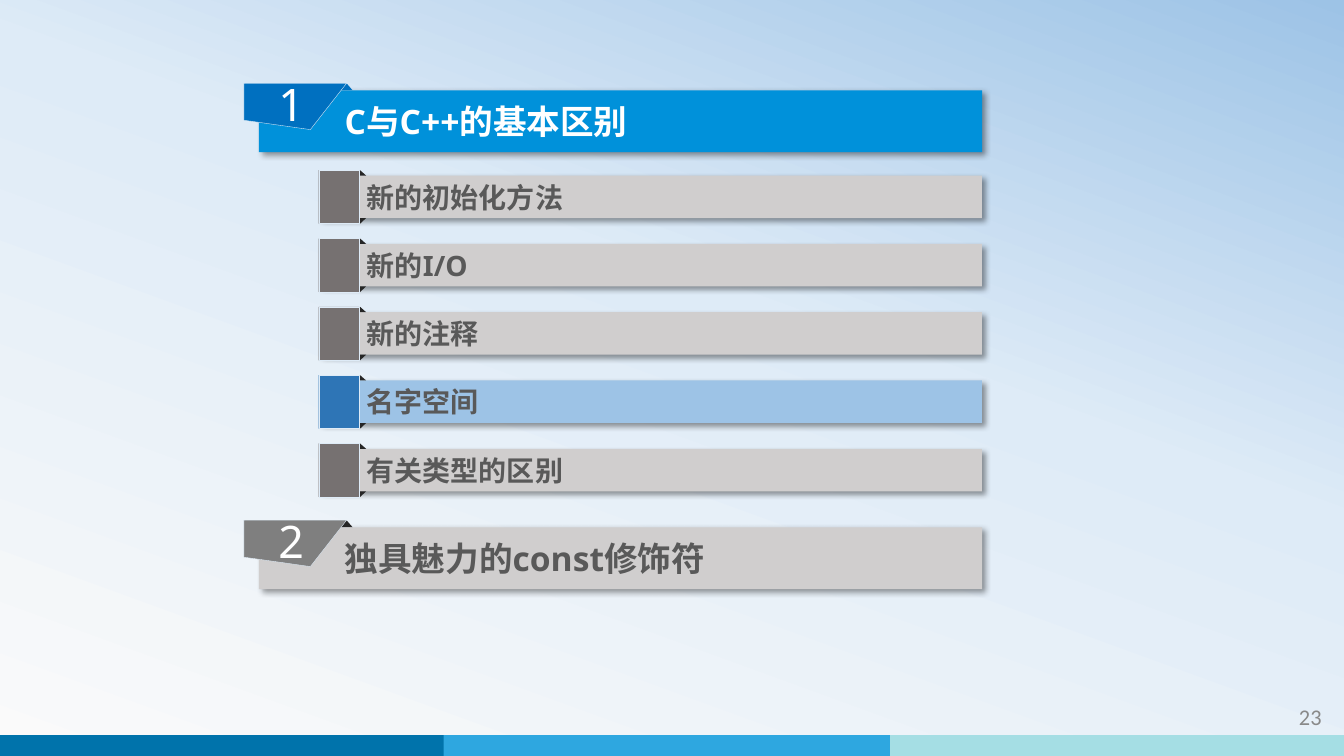
import pptx
import pptx.util
import pptx.dml.color
import pptx.enum.shapes
import pptx.enum.text
import pptx.oxml
import pptx.oxml.ns

Pt = pptx.util.Pt
KIND = pptx.enum.shapes.MSO_SHAPE
ALIGN = pptx.enum.text.PP_ALIGN
MID = pptx.enum.text.MSO_ANCHOR.MIDDLE
NS = pptx.oxml.ns.nsdecls("a")

HUES = {
    "sky": "9DC3E6", "pale": "DEEBF7", "snow": "FAFAFA", "white": "FFFFFF",
    "azure": "0091DA", "blue": "0070C0", "steel": "2E75B6",
    "silver": "D0CECE", "stone": "767171", "gray": "7F7F7F",
    "ink": "595959", "black": "262626", "page": "898989",
    "deep": "0073AB", "mid": "2EA7E0", "light": "A5DEE4",
}
ROWS = ["新的初始化方法", "新的I/O", "新的注释", "名字空间", "有关类型的区别"]
ACTIVE = "名字空间"
RIGHT = 701.5


def hue(name):
    return pptx.dml.color.RGBColor.from_string(HUES[name])


def write(shape, text, size=20, color="ink", bold=False, align=ALIGN.LEFT,
          font="Noto Sans", inset=(7.2, 3.6, 7.2, 3.6)):
    frame = shape.text_frame
    frame.word_wrap = True
    frame.vertical_anchor = MID
    (frame.margin_left, frame.margin_top,
     frame.margin_right, frame.margin_bottom) = map(Pt, inset)
    para = frame.paragraphs[0]
    para.alignment = align
    run = para.add_run()
    run.text = text
    run.font.size = Pt(size)
    run.font.bold = bold
    run.font.name = font
    run.font.color.rgb = hue(color)
    east = pptx.oxml.parse_xml(f'<a:ea {NS} typeface="Noto Sans CJK SC"/>')
    run.font._element.find(pptx.oxml.ns.qn("a:latin")).addnext(east)


def paint(shape, fill, line=None):
    shape.shadow.inherit = False
    shape.fill.solid()
    shape.fill.fore_color.rgb = hue(fill)
    if line:
        shape.line.color.rgb = hue(line)
        shape.line.width = Pt(0.25)
    else:
        shape.line.fill.background()


def block(slide, box, fill, line=None, kind=KIND.RECTANGLE):
    shape = slide.shapes.add_shape(kind, *map(Pt, box))
    paint(shape, fill, line)
    return shape


def bar(slide, box, fill):
    shape = block(slide, box, fill)
    list_ = shape._element.spPr.find(pptx.oxml.ns.qn("a:effectLst"))
    list_.append(pptx.oxml.parse_xml(
        f'<a:outerShdw {NS} blurRad="{Pt(4)}" dist="{Pt(3)}" dir="2700000" '
        'algn="tl" rotWithShape="0"><a:srgbClr val="000000">'
        '<a:alpha val="40000"/></a:srgbClr></a:outerShdw>'))
    return shape


def fold(slide, box, fill="black", flip=False):
    shape = block(slide, box, fill, kind=KIND.ISOSCELES_TRIANGLE)
    if flip:
        shape._element.spPr.xfrm.set("flipV", "1")


def topic(slide, top, text):
    live = text == ACTIVE
    strip = bar(slide, (228.5, top, RIGHT - 228.5, 30.4),
                "sky" if live else "silver")
    write(strip, text, bold=True, inset=(33.5, 3.6, 7.2, 3.6))
    fold(slide, (252.9, top - 3.8, 8.6, 3.8))
    fold(slide, (252.9, top + 30.4, 8.6, 4), flip=True)
    block(slide, (227.7, top - 3.8, 28.8, 38.2),
          "steel" if live else "stone", "pale")


def chapter(slide, top, number, text, fill, tag, corner, color):
    strip = bar(slide, (185, top, RIGHT - 185, 44.2), fill)
    write(strip, text, size=24, color=color, bold=True,
          inset=(61.2, 3.6, 7.2, 3.6))
    fold(slide, (243.2, top - 5, 8.6, 5), corner)
    left, peak = 174.2, top - 5
    path = [(left + 73.4, peak), (left + 47.5, peak + 33.1),
            (left, peak + 26.4)]
    pen = slide.shapes.build_freeform(Pt(left), Pt(peak))
    pen.add_line_segments([(Pt(x), Pt(y)) for x, y in path])
    label = pen.convert_to_shape()
    paint(label, tag, "pale")
    write(label, number, size=32, color="white", align=ALIGN.CENTER,
          inset=(6.5, 2.9, 12.2, 7.2))


def shade(slide):
    fill = slide.background.fill
    fill.gradient()
    grad = slide._element.cSld.find(".//" + pptx.oxml.ns.qn("a:gradFill"))
    for child in list(grad):
        grad.remove(child)
    stops = "".join(
        f'<a:gs pos="{spot * 1000}"><a:srgbClr val="{HUES[name]}"/></a:gs>'
        for spot, name in [(0, "snow"), (58, "pale"), (100, "sky")])
    grad.append(pptx.oxml.parse_xml(f"<a:gsLst {NS}>{stops}</a:gsLst>"))
    grad.append(pptx.oxml.parse_xml(
        f'<a:lin {NS} ang="{290 * 60000}" scaled="0"/>'))


def footer(slide):
    for i, name in enumerate(["deep", "mid", "light"]):
        block(slide, (319 * i - 2.2, 525, 324.2, 15), name)
    box = slide.shapes.add_textbox(*map(Pt, (836.6, 497.5, 114.5, 28.8)))
    write(box, "23", size=16, color="page", align=ALIGN.RIGHT, font="Calibri")


def main():
    deck = pptx.Presentation()
    deck.slide_width, deck.slide_height = Pt(960), Pt(540)
    slide = deck.slides.add_slide(deck.slide_layouts[6])
    shade(slide)
    footer(slide)
    chapter(slide, 64.5, "1", "C与C++的基本区别",
            "azure", "blue", "blue", "white")
    for i, text in enumerate(ROWS):
        topic(slide, 125.4 + 48.8 * i, text)
    chapter(slide, 376.6, "2", "独具魅力的const修饰符",
            "silver", "gray", "black", "ink")
    deck.save("out.pptx")


if __name__ == "__main__":
    main()
